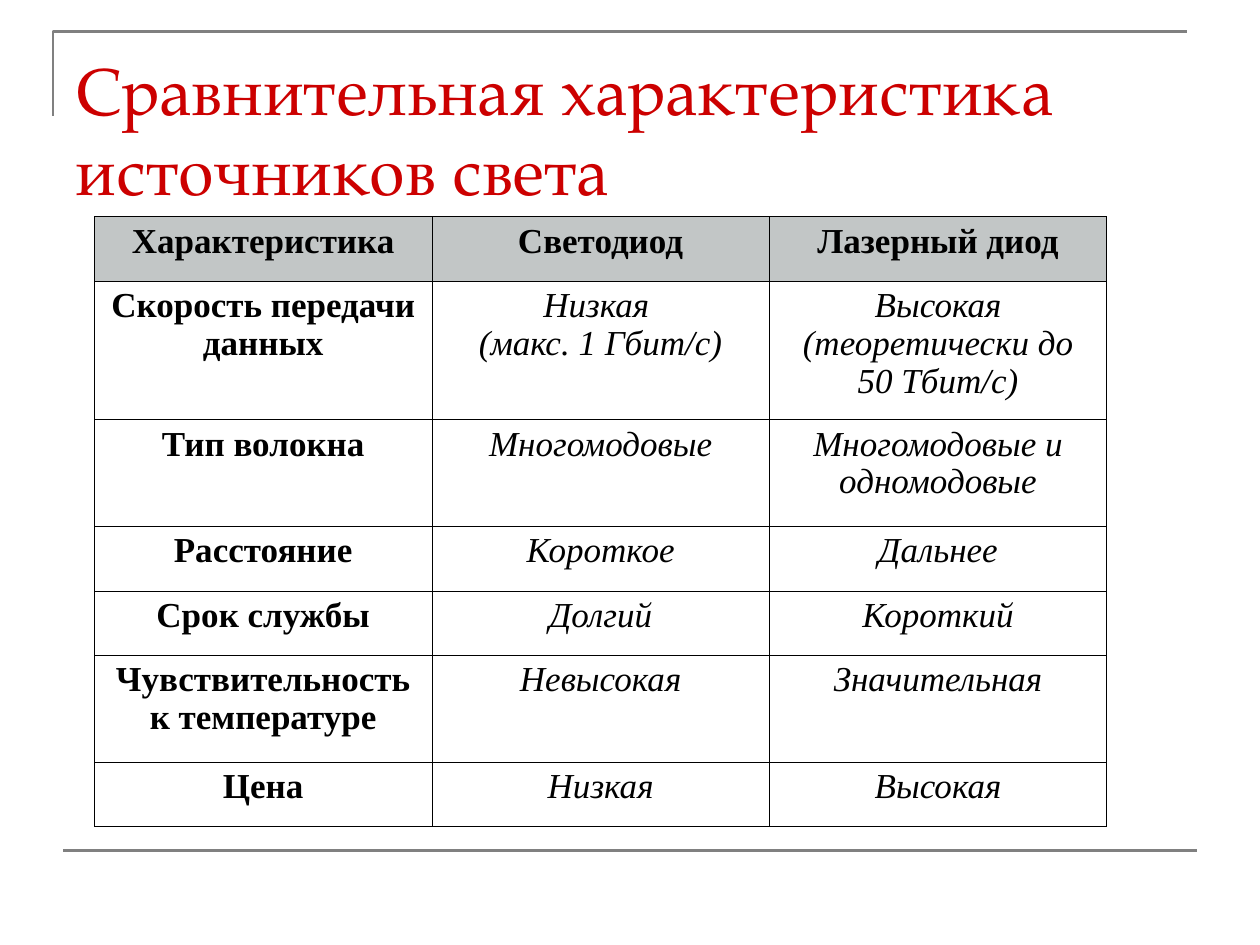
from lxml import etree
from pptx import Presentation
from pptx import util as u
from pptx.dml.color import RGBColor
from pptx.enum import shapes, text
from pptx.oxml import parse_xml
from pptx.oxml.ns import nsdecls, qn

COLORS = {"rule": "808080", "title": "CC0000", "ink": "000000",
          "head": "C2C6C6", "paper": "FFFFFF"}
COLS, ROWS = 100, 75  # grid over the whole slide

TITLE = {"name": "TeX Gyre Pagella", "size": u.Pt(38)}
BODY = {"name": "Times New Roman", "size": u.Pt(20)}
LABEL = {**BODY, "bold": True, "italic": False}
VALUE = {**BODY, "bold": False, "italic": True}


class Slide:
    def __init__(self, prs):
        self.s = prs.slides.add_slide(prs.slide_layouts[6])
        self.dx, self.dy = prs.slide_width / COLS, prs.slide_height / ROWS
        bg = self.s.background.fill
        bg.solid()
        bg.fore_color.rgb = self.rgb("paper")

    def rgb(self, key):
        return RGBColor.from_string(COLORS[key])

    def x(self, cols):
        return round(cols * self.dx)

    def y(self, rows):
        return round(rows * self.dy)

    def box(self, left, top, width, height):
        return self.x(left), self.y(top), self.x(width), self.y(height)

    def stroke(self, sp):
        sp.line.color.rgb = self.rgb("rule")
        sp.line.width = u.Pt(1.5)

    def outline(self, points):
        pts = [(self.x(a), self.y(b)) for a, b in points]
        fb = self.s.shapes.build_freeform(*pts[0])
        fb.add_line_segments(pts[1:], close=False)
        sp = fb.convert_to_shape()
        sp.shadow.inherit = False
        sp.fill.background()
        self.stroke(sp)

    def rule(self, x1, y1, x2, y2):
        sp = self.s.shapes.add_connector(
            shapes.MSO_CONNECTOR.STRAIGHT,
            self.x(x1), self.y(y1), self.x(x2), self.y(y2))
        self.stroke(sp)
        etree.SubElement(sp._element.spPr, qn("a:effectLst"))

    def put_text(self, p, words, style, color, **layout):
        p.text = words
        for key, value in layout.items():
            setattr(p, key, value)
        for r in p.runs:
            for key, value in style.items():
                setattr(r.font, key, value)
            r.font.color.rgb = self.rgb(color)

    def title(self, words, *box):
        tf = self.s.shapes.add_textbox(*self.box(*box)).text_frame
        tf.word_wrap = True
        tf.vertical_anchor = text.MSO_ANCHOR.MIDDLE
        self.put_text(tf.paragraphs[0], words, TITLE, "title")

    def borders(self, cell, width):
        tc_pr = cell._tc.get_or_add_tcPr()
        for i, side in enumerate(("lnL", "lnR", "lnT", "lnB")):
            tc_pr.insert(i, parse_xml(
                f'<a:{side} {nsdecls("a")} w="{u.Pt(width)}"><a:solidFill>'
                f'<a:srgbClr val="{COLORS["ink"]}"/></a:solidFill></a:{side}>'))

    def table(self, data, left, top, col_width, heights):
        n = len(data[0])
        tbl = self.s.shapes.add_table(
            len(data), n,
            *self.box(left, top, col_width * n, sum(heights))).table
        for col in tbl.columns:
            col.width = self.x(col_width)
        for i, (line, height) in enumerate(zip(data, heights)):
            tbl.rows[i].height = self.y(height)
            for j, words in enumerate(line):
                cell = tbl.cell(i, j)
                if i == 0:
                    cell.fill.solid()
                    cell.fill.fore_color.rgb = self.rgb("head")
                else:
                    cell.fill.background()
                self.borders(cell, 0.45)
                style = LABEL if i == 0 or j == 0 else VALUE
                self.put_text(cell.text_frame.paragraphs[0], words, style,
                              "ink", alignment=text.PP_ALIGN.CENTER,
                              line_spacing=0.97)


prs = Presentation()
prs.slide_width, prs.slide_height = u.Inches(10), u.Inches(7.5)
slide = Slide(prs)

# Frame corner and bottom rule
slide.outline([(4.2, 9.2), (4.2, 2.5), (94.2, 2.5)])
slide.rule(5, 67.5, 95, 67.5)

# Title
slide.title("Сравнительная характеристика источников света", 5, 3, 90, 14.5)

# Comparison table: row heights follow the number of text lines
ONE, TWO, THREE = 5.12, 8.47, 11
slide.table([
    ("Характеристика", "Светодиод", "Лазерный диод"),
    ("Скорость передачи данных", "Низкая \v(макс. 1 Гбит/с)",
     "Высокая (теоретически до 50 Тбит/с)"),
    ("Тип волокна", "Многомодовые", "Многомодовые и одномодовые"),
    ("Расстояние", "Короткое", "Дальнее"),
    ("Срок службы", "Долгий", "Короткий"),
    ("Чувствительность к температуре", "Невысокая", "Значительная"),
    ("Цена", "Низкая", "Высокая"),
], 7.5, 17.2, 26.78, [ONE, THREE, TWO, ONE, ONE, TWO, ONE])

prs.save("out.pptx")
